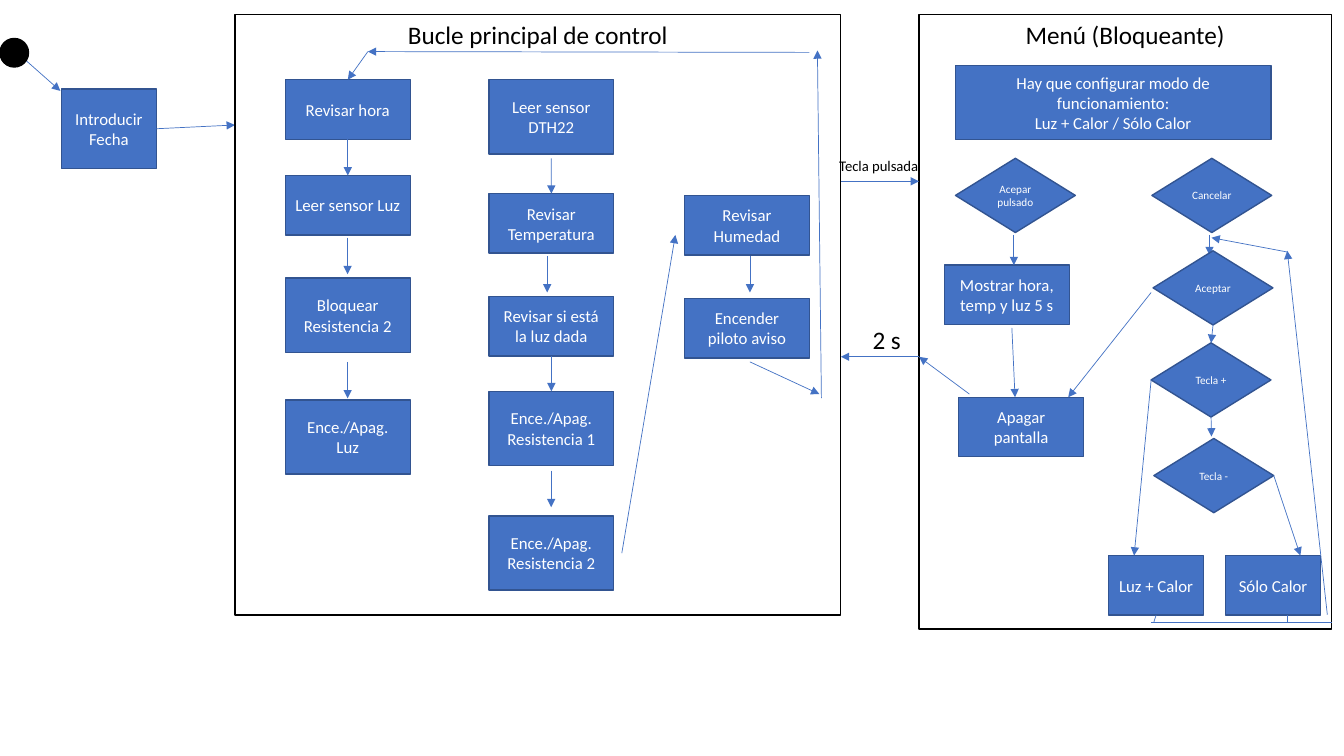
from dataclasses import dataclass
from typing import Any

from lxml import etree
from pptx import Presentation
from pptx.dml.color import RGBColor
from pptx.enum.shapes import MSO_CONNECTOR, MSO_SHAPE
from pptx.enum.text import MSO_ANCHOR, PP_ALIGN
from pptx.oxml.ns import qn
from pptx.util import Cm, Pt

RECTANGLE, DIAMOND, OVAL = MSO_SHAPE.RECTANGLE, MSO_SHAPE.DIAMOND, MSO_SHAPE.OVAL
STRAIGHT = MSO_CONNECTOR.STRAIGHT
TOP, MIDDLE = MSO_ANCHOR.TOP, MSO_ANCHOR.MIDDLE
LEFT, CENTER = PP_ALIGN.LEFT, PP_ALIGN.CENTER
SIDE_TOP, SIDE_LEFT, SIDE_BOTTOM, SIDE_RIGHT = range(4)


@dataclass(frozen=True)
class Theme:
    font: str = "Calibri"
    blue: RGBColor = RGBColor(0x44, 0x72, 0xC4)
    outline: RGBColor = RGBColor(0x32, 0x54, 0x91)
    black: RGBColor = RGBColor(0, 0, 0)
    white: RGBColor = RGBColor(255, 255, 255)
    title: float = 18
    step: float = 12
    label: float = 10.5
    decision: float = 8
    outline_width: float = 1
    arrow_width: float = 0.5


@dataclass(frozen=True)
class Side:
    """The middle of one side of a shape."""
    shape: Any
    site: int


class FlowSlide:
    def __init__(self, presentation, theme):
        self.theme = theme
        self.slide = presentation.slides.add_slide(presentation.slide_layouts[6])

    def set_text(self, shape, text, size, color, align=CENTER, anchor=MIDDLE):
        frame = shape.text_frame
        frame.text = text
        frame.vertical_anchor = anchor
        for paragraph in frame.paragraphs:
            paragraph.alignment = align
            font = paragraph.font
            font.name, font.size = self.theme.font, Pt(size)
            font.color.rgb = color

    def shape(self, kind, left, top, width, height, fill, outline):
        shape = self.slide.shapes.add_shape(
            kind, Cm(left), Cm(top), Cm(width), Cm(height))
        shape.shadow.inherit = False
        shape.fill.solid()
        shape.fill.fore_color.rgb = fill
        shape.line.color.rgb = outline
        shape.line.width = Pt(self.theme.outline_width)
        shape.text_frame.word_wrap = True
        return shape

    def panel(self, title, left, top, width, height):
        theme = self.theme
        panel = self.shape(RECTANGLE, left, top, width, height, theme.white, theme.black)
        self.set_text(panel, title, theme.title, theme.black, anchor=TOP)

    def start(self, left, top, diameter):
        black = self.theme.black
        self.shape(OVAL, left, top, diameter, diameter, black, black)

    def step(self, text, left, top, width=3.15, height=1.5):
        theme = self.theme
        step = self.shape(RECTANGLE, left, top, width, height, theme.blue, theme.outline)
        self.set_text(step, text, theme.step, theme.white)
        return step

    def decision(self, text, left, top):
        theme = self.theme
        decision = self.shape(DIAMOND, left, top, 3.02, 1.87, theme.blue, theme.outline)
        self.set_text(decision, text, theme.decision, theme.white)
        return decision

    def label(self, text, left, top, width, height, size):
        box = self.slide.shapes.add_textbox(Cm(left), Cm(top), Cm(width), Cm(height))
        box.text_frame.word_wrap = False
        self.set_text(box, text, size, self.theme.black, LEFT, TOP)

    def line(self, begin, end, arrow=False):
        """Each end is a point (x, y) or a Side."""
        points = [(0, 0) if isinstance(place, Side) else place for place in (begin, end)]
        connector = self.slide.shapes.add_connector(
            STRAIGHT, *(Cm(value) for point in points for value in point))
        if isinstance(begin, Side):
            connector.begin_connect(begin.shape, begin.site)
        if isinstance(end, Side):
            connector.end_connect(end.shape, end.site)
        connector.line.color.rgb = self.theme.blue
        connector.line.width = Pt(self.theme.arrow_width)
        properties = connector._element.spPr
        if arrow:
            etree.SubElement(properties.find(qn("a:ln")), qn("a:tailEnd"), type="triangle")
        etree.SubElement(properties, qn("a:effectLst"))

    def arrow(self, begin, end):
        self.line(begin, end, arrow=True)


def draw_start(flow):
    enter_date = flow.step("Introducir Fecha", 1.55, 2.24, 2.39, 2.01)
    flow.arrow((0.48, 1.37), (1.52, 2.29))
    flow.start(0, 0.97, 0.72)
    flow.arrow(Side(enter_date, SIDE_RIGHT), (5.92, 3.15))


def draw_main_loop(flow):
    flow.panel("Bucle principal de control", 5.92, 0.36, 15.27, 15.14)
    low, tall = 1.5, 1.87
    columns = {
        7.19: [("Revisar hora", 2.01, low), ("Leer sensor Luz", 4.42, low),
               ("Bloquear Resistencia 2", 7.01, tall), ("Ence./Apag. Luz", 10.08, tall)],
        12.32: [("Leer sensor DTH22", 2.01, tall), ("Revisar Temperatura", 4.88, low),
                ("Revisar si está la luz dada", 7.47, low),
                ("Ence./Apag. Resistencia 1", 9.86, tall),
                ("Ence./Apag. Resistencia 2", 13.0, tall)],
        17.25: [("Revisar Humedad", 4.93, low), ("Encender piloto aviso", 7.52, low)],
    }
    steps = {text: flow.step(text, left, top, height=height)
             for left, column in columns.items() for text, top, height in column}

    # Arrows down each column
    hour, light = steps["Revisar hora"], steps["Leer sensor Luz"]
    light_on, heater = steps["Revisar si está la luz dada"], steps["Ence./Apag. Resistencia 1"]
    flow.arrow(Side(hour, SIDE_BOTTOM), Side(light, SIDE_TOP))
    flow.arrow((13.89, 3.99), Side(steps["Revisar Temperatura"], SIDE_TOP))
    flow.arrow(Side(light_on, SIDE_BOTTOM), Side(heater, SIDE_TOP))
    for x, top in [(8.76, 5.99), (8.76, 9.12), (13.79, 6.45), (13.89, 11.86), (18.9, 6.45)]:
        flow.arrow((x, top), (x, top + 0.92))

    # Passage to the third column and return to the first step
    flow.arrow((15.67, 13.94), (17.02, 5.92))
    flow.arrow((18.9, 9.12), (20.65, 9.93))
    flow.arrow((20.7, 10.03), (20.6, 1.27))
    flow.arrow((20.4, 1.32), (9.27, 1.3))
    flow.arrow((9.27, 1.3), Side(hour, SIDE_TOP))


def draw_menu(flow):
    flow.panel("Menú (Bloqueante)", 23.16, 0.36, 10.39, 15.49)
    flow.step("Hay que configurar modo de funcionamiento:\nLuz + Calor / Sólo Calor",
              24.08, 1.65, 7.95, 1.87)
    flow.step("Mostrar hora, temp y luz 5 s", 23.8, 6.68)
    flow.step("Apagar pantalla", 24.16, 10.01)
    light_heat = flow.step("Luz + Calor", 27.94, 14, 2.39)
    flow.step("Sólo Calor", 30.89, 14, 2.39)
    flow.decision("Acepar pulsado", 24.08, 3.99)
    flow.decision("Cancelar", 29.03, 3.99)
    flow.arrow((30.48, 5.92), (30.48, 6.43))
    accept = flow.decision("Aceptar", 29.06, 6.32)
    plus = flow.decision("Tecla +", 29.01, 8.64)
    minus = flow.decision("Tecla -", 29.08, 11.05)

    # Key decisions
    flow.arrow(Side(accept, SIDE_BOTTOM), Side(plus, SIDE_TOP))
    flow.arrow(Side(plus, SIDE_BOTTOM), (30.53, 11))
    flow.arrow(Side(plus, SIDE_LEFT), (28.58, 14))
    flow.arrow(Side(minus, SIDE_RIGHT), (32.77, 14))

    # Screen steps
    flow.arrow((25.55, 5.92), (25.55, 6.68))
    flow.arrow((25.5, 8.26), (25.58, 10.01))
    flow.arrow((29.01, 7.37), (26.92, 10.01))
    flow.arrow((24.43, 9.93), (23.16, 8.99))

    # Return from the chosen mode
    flow.line((29.01, 15.67), (33.58, 15.67))
    flow.line((29.08, 15.67), Side(light_heat, SIDE_BOTTOM))
    flow.line((32.44, 15.67), (32.44, 15.49))
    flow.arrow((33.45, 15.49), (32.44, 6.32))
    flow.arrow((32.44, 6.35), (30.53, 5.99))


def draw_transitions(flow):
    flow.arrow((21.19, 4.57), (23.16, 4.57))
    flow.label("Tecla pulsada", 20.9, 3.84, 2.67, 0.74, flow.theme.label)
    flow.arrow((23.16, 8.99), (21.19, 8.99))
    flow.label("2 s", 21.74, 8.05, 1.24, 1.02, flow.theme.title)


def main():
    presentation = Presentation()
    presentation.slide_width, presentation.slide_height = Cm(33.87), Cm(19.05)
    flow = FlowSlide(presentation, Theme())
    draw_start(flow)
    draw_main_loop(flow)
    draw_menu(flow)
    draw_transitions(flow)
    presentation.save("out.pptx")


if __name__ == "__main__":
    main()
